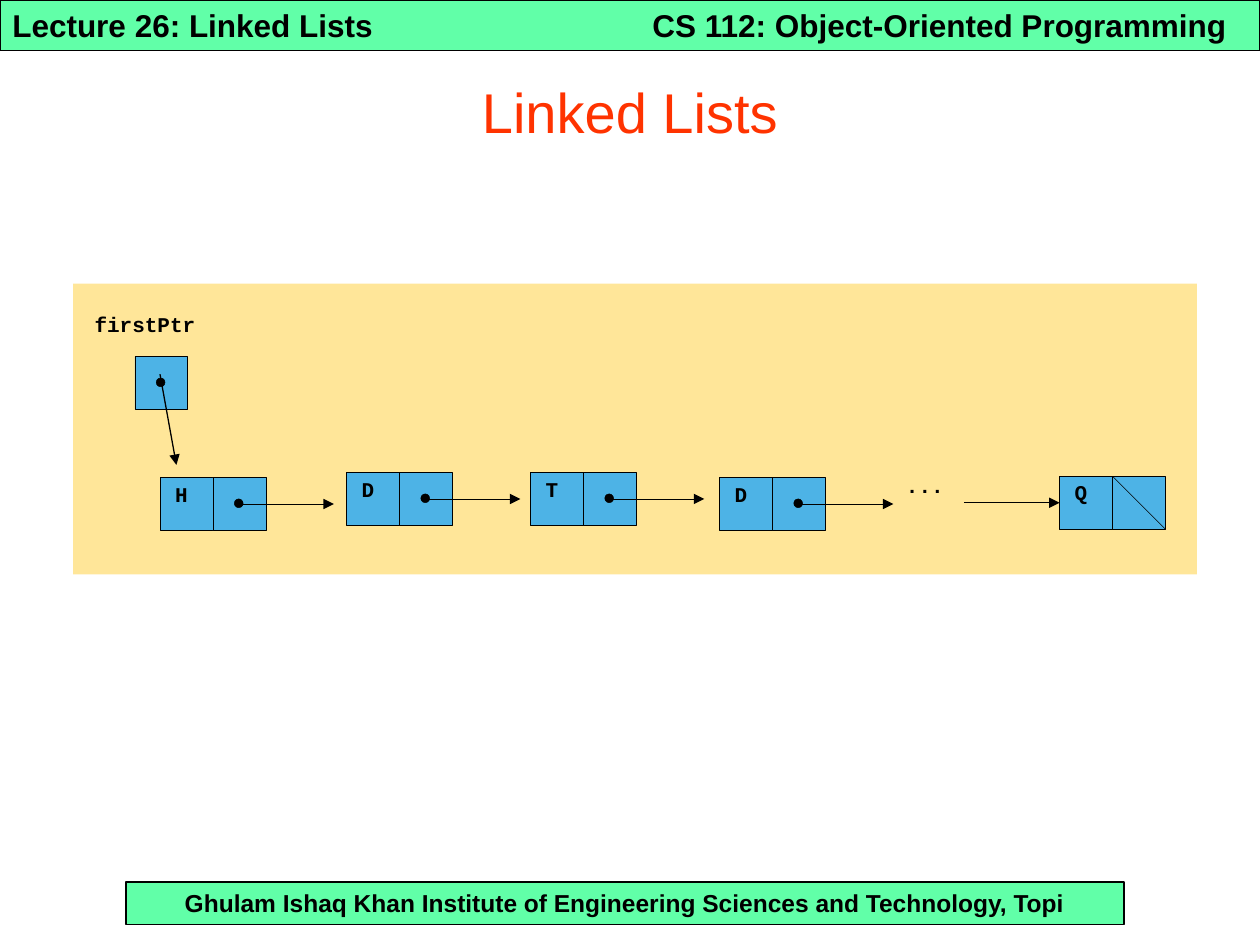
from lxml import etree
from pptx import Presentation
from pptx.dml.color import RGBColor
from pptx.enum import shapes, text
from pptx.oxml import ns
from pptx.util import Inches, Pt

COLORS = {
    "banner": "61FFA8",
    "panel": "FFE699",
    "cell": "4DB3E6",
    "title": "FF3300",
    "ink": "000000",
}
CELL = 0.42
DOT = 0.07
NODES = [
    ("H", 1.27, 3.79),
    ("D", 2.75, 3.75),
    ("T", 4.21, 3.75),
    ("D", 5.71, 3.79),
]
LAST_NODE = ("Q", 8.41, 3.78)


class SlideBuilder:
    def __init__(self, page):
        self.page = page

    def color(self, name):
        return RGBColor.from_string(COLORS[name])

    def shape(self, kind, left, top, width, height, fill, line=None):
        shape = self.page.shapes.add_shape(
            kind, Inches(left), Inches(top), Inches(width), Inches(height)
        )
        shape.shadow.inherit = False
        shape.fill.solid()
        shape.fill.fore_color.rgb = self.color(fill)
        if line is None:
            shape.line.fill.background()
        else:
            shape.line.color.rgb = self.color("ink")
            shape.line.width = Pt(line)
        return shape

    def rectangle(self, *args, **kwargs):
        return self.shape(shapes.MSO_SHAPE.RECTANGLE, *args, **kwargs)

    def add_text(self, box, words, size, font="Arial", color="ink", bold=True,
                 align=text.PP_ALIGN.LEFT, anchor=text.MSO_ANCHOR.TOP):
        frame = box.text_frame
        frame.word_wrap = True
        frame.vertical_anchor = anchor
        para = frame.paragraphs[0]
        para.alignment = align
        span = para.add_run()
        span.text = words
        span.font.size = Pt(size)
        span.font.name = font
        span.font.bold = bold
        span.font.color.rgb = self.color(color)
        return frame

    def text_box(self, left, top, width, height, words, size, **style):
        box = self.page.shapes.add_textbox(
            Inches(left), Inches(top), Inches(width), Inches(height)
        )
        return self.add_text(box, words, size, **style)

    def code_label(self, left, top, width, words):
        frame = self.text_box(left, top, width, 0.3, words, 12, font="Courier New")
        frame.margin_left = frame.margin_right = 0
        frame.margin_top = frame.margin_bottom = 0
        frame.paragraphs[0].line_spacing = 0.72

    def line(self, x1, y1, x2, y2, width=0.25, arrow=True):
        line = self.page.shapes.add_connector(
            shapes.MSO_CONNECTOR.STRAIGHT,
            Inches(x1), Inches(y1), Inches(x2), Inches(y2),
        )
        line.line.color.rgb = self.color("ink")
        line.line.width = Pt(width)
        properties = line._element.spPr
        if arrow:
            outline = properties.find(ns.qn("a:ln"))
            etree.SubElement(outline, ns.qn("a:tailEnd"), type="triangle")
        etree.SubElement(properties, ns.qn("a:effectLst"))

    def dot(self, left, top):
        self.shape(shapes.MSO_SHAPE.OVAL, left, top, DOT, DOT, "ink", line=0.25)

    def cell(self, left, top):
        self.rectangle(left, top, CELL, CELL, "cell", line=0.25)

    def node(self, letter, left, top):
        self.cell(left, top)
        self.cell(left + CELL, top)
        self.code_label(left + 0.12, top + 0.08, 0.17, letter)

    def linked_node(self, letter, left, top):
        self.node(letter, left, top)
        self.dot(left + 0.59, top + 0.17)
        self.line(left + 0.62, top + 0.21, left + 1.38, top + 0.21)


def main():
    deck = Presentation()
    deck.slide_width = Inches(10)
    deck.slide_height = Inches(7.5)
    builder = SlideBuilder(deck.slides.add_slide(deck.slide_layouts[6]))
    center = text.PP_ALIGN.CENTER
    middle = text.MSO_ANCHOR.MIDDLE

    footer = builder.rectangle(1, 7, 7.92, 0.34, "banner", line=0.75)
    builder.add_text(
        footer,
        "Ghulam Ishaq Khan Institute of Engineering Sciences and Technology, Topi",
        14, align=center,
    )
    header = builder.rectangle(0, 0, 10, 0.4, "banner", line=0.75)
    builder.add_text(header, "Lecture 26: Linked Lists", 18)
    builder.text_box(5.08, 0, 4.92, 0.4, "CS 112: Object-Oriented Programming", 18)
    builder.text_box(
        0, 0.42, 10, 0.92, "Linked Lists", 32,
        color="title", bold=False, align=center, anchor=middle,
    )

    builder.rectangle(0.58, 2.25, 8.92, 2.31, "panel")
    builder.code_label(0.75, 2.52, 1.05, "firstPtr")
    builder.cell(1.07, 2.83)
    builder.dot(1.24, 3)
    builder.line(1.27, 2.97, 1.4, 3.69, width=0.75)

    for letter, left, top in NODES:
        builder.linked_node(letter, left, top)

    builder.code_label(7.19, 3.8, 0.42, "...")
    letter, left, top = LAST_NODE
    builder.node(letter, left, top)
    builder.line(left - 0.76, top + 0.21, left, top + 0.21)
    builder.line(left + CELL, top, left + 2 * CELL, top + CELL, arrow=False)

    deck.save("out.pptx")


if __name__ == "__main__":
    main()
